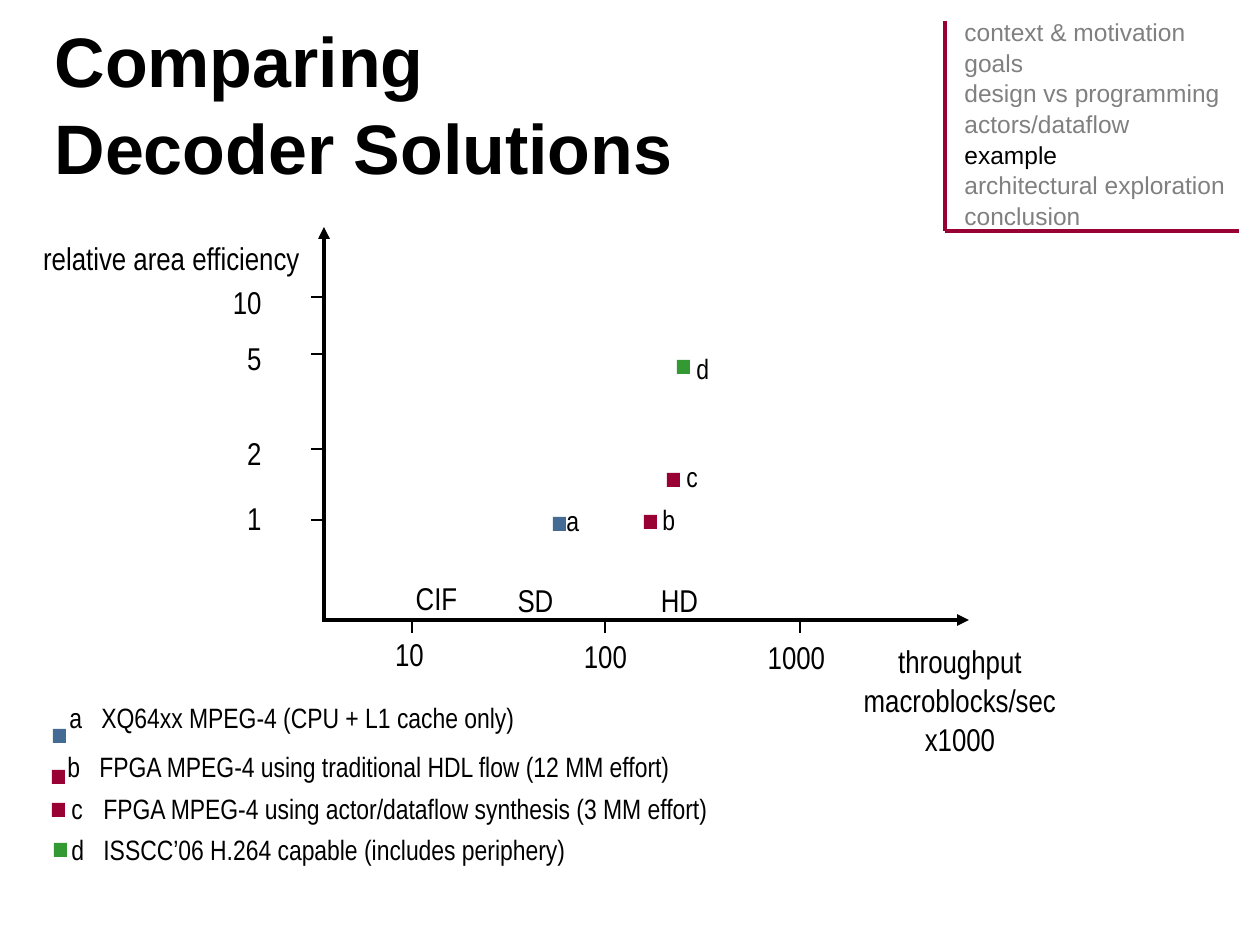
from lxml import etree
from pptx import Presentation
from pptx.dml.color import RGBColor
from pptx.enum.shapes import MSO_CONNECTOR, MSO_SHAPE
from pptx.enum.text import MSO_ANCHOR, MSO_AUTO_SIZE, PP_ALIGN
from pptx.oxml.ns import qn
from pptx.util import Emu, Pt

LEFT, CENTER, RIGHT = PP_ALIGN.LEFT, PP_ALIGN.CENTER, PP_ALIGN.RIGHT
STRAIGHT, RECT = MSO_CONNECTOR.STRAIGHT, MSO_SHAPE.RECTANGLE
MIDDLE, NO_FIT = MSO_ANCHOR.MIDDLE, MSO_AUTO_SIZE.NONE
BLACK, GRAY, BLUE, RED, GREEN = "000000", "808080", "446B94", "990033", "339933"
SANS, NARROW = "Arial", "Arial Narrow"
LINE_SPACING = 1.04

TITLE = ["Comparing", "Decoder Solutions"]
AGENDA = ["context & motivation", "goals", "design vs programming", "actors/dataflow",
          "example", "architectural exploration", "conclusion"]
CURRENT = "example"
AXIS_X, AXIS_Y = 324, 620
TICK = 13
Y_TICKS = [("10", 297, 275), ("5", 354, 331), ("2", 449, 426), ("1", 520, 491)]
X_TICKS = [("10", 412, 340, 627), ("100", 605, 536, 629), ("1000", 800, 727, 630)]
FORMATS = [("CIF", 367, 571), ("SD", 466, 573), ("HD", 610, 573)]
X_TITLE = ["throughput", "macroblocks/sec", "x1000"]
Y_TITLE = ["relative area efficiency"]
POINTS = [("a", BLUE, (553, 517), (554, 496)),
          ("b", RED, (644, 515), (650, 495)),
          ("c", RED, (667, 473), (674, 452)),
          ("d", GREEN, (677, 360), (684, 344))]
LEGEND = [("XQ64xx MPEG-4 (CPU + L1 cache only)", (53, 729), (57, 693)),
          ("FPGA MPEG-4 using traditional HDL flow (12 MM effort)", (52, 770), (55, 742)),
          ("FPGA MPEG-4 using actor/dataflow synthesis (3 MM effort)", (52, 803), (59, 784)),
          ("ISSCC’06 H.264 capable (includes periphery)", (54, 843), (59, 825))]


def px(n):
    return Emu(round(n * 914400 / 126))


def rgb(color):
    return RGBColor.from_string(color)


def add_run(p, text, size, font, color=BLACK, bold=False):
    r = p.add_run()
    r.text = text
    r.font.size, r.font.name, r.font.bold = Pt(size), font, bold
    r.font.color.rgb = rgb(color)


def add_lines(p, lines, size, font, bold=False):
    for i, line in enumerate(lines):
        if i:
            p.add_line_break()
        add_run(p, line, size, font, bold=bold)


def add_box(x, y, w, h, wrap=True):
    tf = s.shapes.add_textbox(px(x), px(y), px(w), px(h)).text_frame
    tf.word_wrap = wrap
    return tf


def add_label(lines, x, y, w, h=50, size=18, align=CENTER):
    p = add_box(x, y, w, h).paragraphs[0]
    p.alignment, p.line_spacing = align, LINE_SPACING
    add_lines(p, lines, size, NARROW)
    return p


def add_line(x1, y1, x2, y2, color=BLACK, width=1, arrow=False):
    line = s.shapes.add_connector(STRAIGHT, px(x1), px(y1), px(x2), px(y2))
    line.line.color.rgb, line.line.width = rgb(color), Pt(width)
    if arrow:
        etree.SubElement(line.line._get_or_add_ln(), qn("a:headEnd"), type="triangle")
    etree.SubElement(line._element.spPr, qn("a:effectLst"))


def add_marker(position, color):
    x, y = position
    marker = s.shapes.add_shape(RECT, px(x), px(y), px(13), px(14))
    marker.shadow.inherit = False
    marker.fill.solid()
    marker.fill.fore_color.rgb = rgb(color)
    marker.line.fill.background()


def add_tab(p, position):
    tabs = etree.SubElement(p._p.get_or_add_pPr(), qn("a:tabLst"))
    etree.SubElement(tabs, qn("a:tab"), pos=str(px(position)), algn="l")


prs = Presentation()
prs.slide_width, prs.slide_height = px(1260), px(945)
s = prs.slides.add_slide(prs.slide_layouts[5])

title = s.shapes.title
title.left, title.top, title.width, title.height = px(42), px(26), px(1134), px(151)
tf = title.text_frame
tf.auto_size, tf.vertical_anchor, tf.word_wrap = NO_FIT, MIDDLE, True
p = tf.paragraphs[0]
p.alignment, p.line_spacing = LEFT, LINE_SPACING
add_lines(p, TITLE, 40, SANS, bold=True)

add_line(AXIS_X, 227, AXIS_X, 622, width=2.25, arrow=True)
add_line(969, AXIS_Y, AXIS_X - 1, AXIS_Y, width=2.25, arrow=True)
add_label(X_TITLE, 796, 634, 328, 126)
add_label(Y_TITLE, 21, 231, 301)
for text, y, top in Y_TICKS:
    add_line(AXIS_X - TICK, y, AXIS_X, y)
    add_label([text], 137, top, 137, align=RIGHT)
for text, x, left, top in X_TICKS:
    add_line(x, AXIS_Y + TICK, x, AXIS_Y)
    add_label([text], left, top, 139)
for text, left, top in FORMATS:
    add_label([text], left, top, 139)

for (letter, color, mark, label), (text, key, entry) in zip(POINTS, LEGEND):
    add_marker(mark, color)
    add_marker(key, color)
    add_label([letter], *label, 60, 47, 16, LEFT)
    p = add_label([letter], *entry, 760, 47, 16, LEFT)
    add_tab(p, 32)
    add_run(p, "\t" + text, 16, NARROW)

tf = add_box(952, 10, 286, 219, wrap=False)
for i, item in enumerate(AGENDA):
    p = tf.add_paragraph() if i else tf.paragraphs[0]
    p.line_spacing = LINE_SPACING
    add_run(p, item, 14, SANS, BLACK if item == CURRENT else GRAY)
add_line(945, 21, 945, 231, RED, 2)
add_line(1239, 231, 945, 231, RED, 2)

prs.save("out.pptx")
